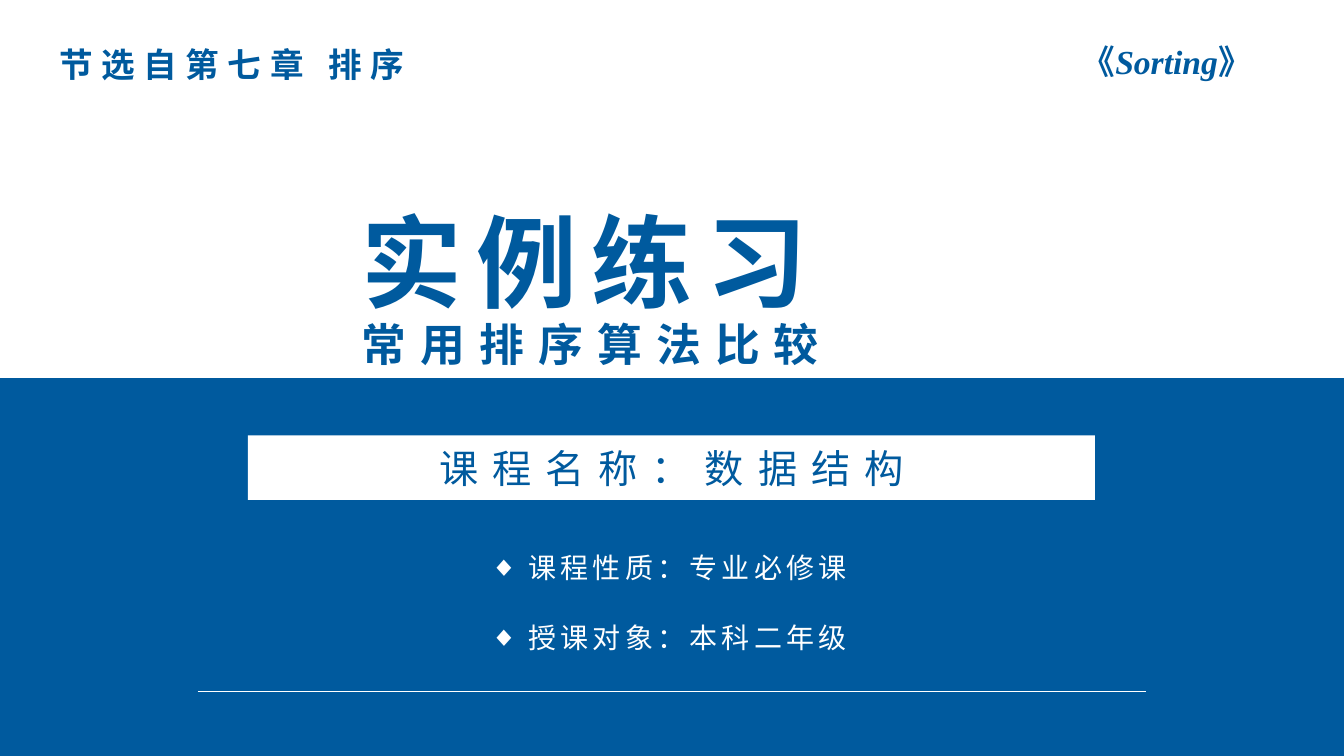
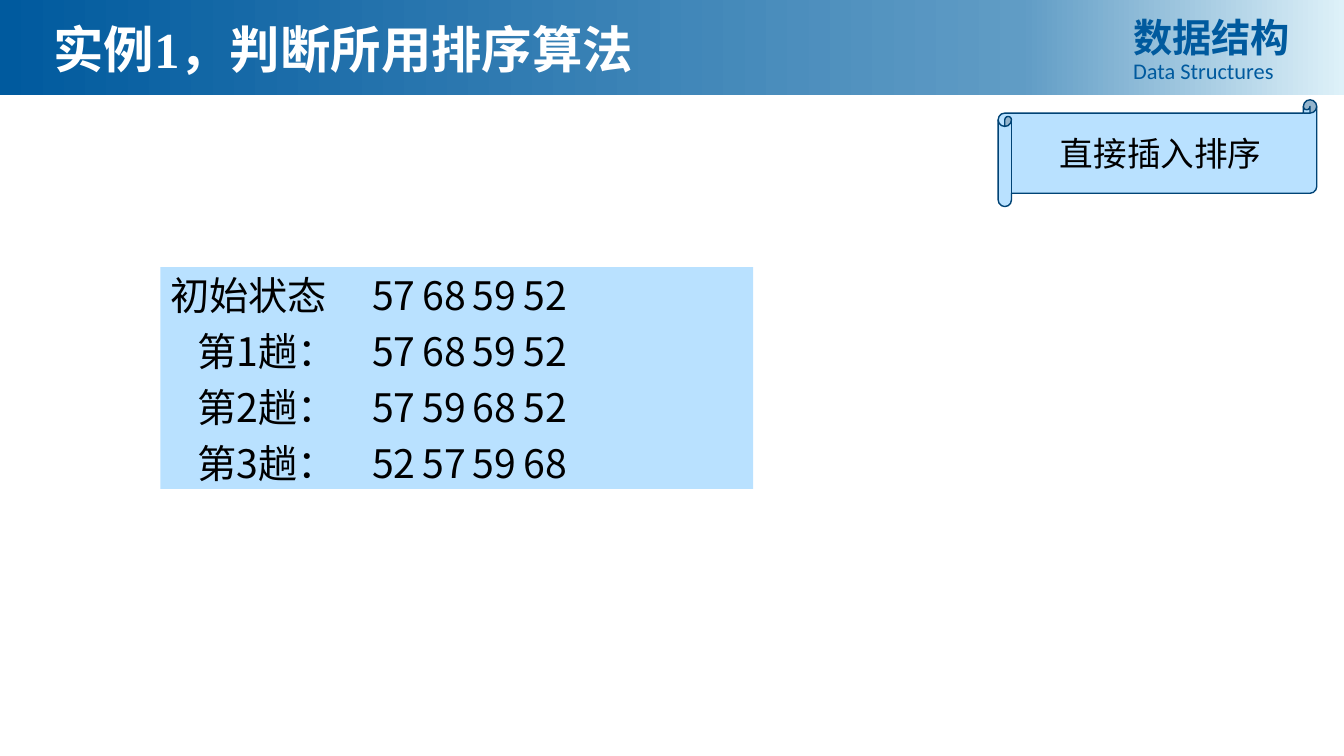
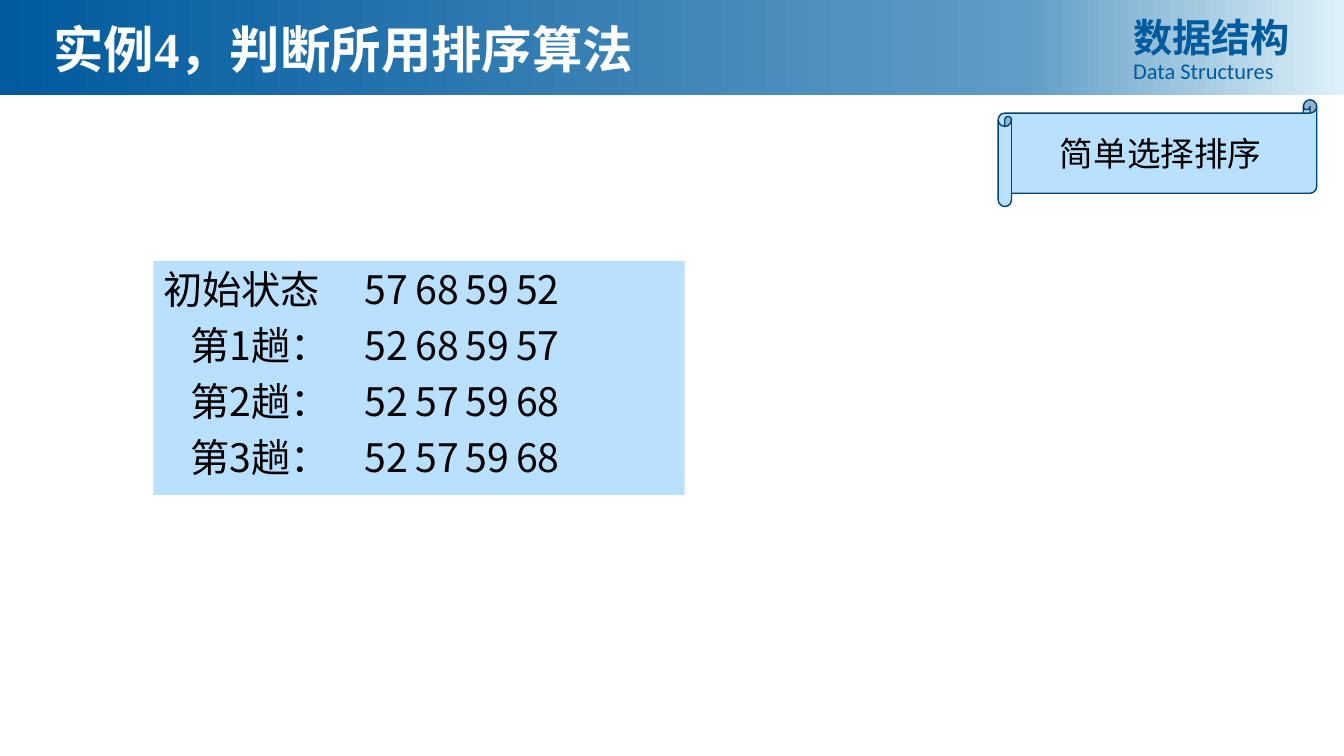
from copy import deepcopy
from dataclasses import dataclass, replace

from pptx import Presentation
from pptx import util as u
from pptx.dml.color import RGBColor
from pptx.enum import shapes, text
from pptx.oxml import ns
from pptx.oxml.xmlchemy import OxmlElement

SANS, SERIF, LATIN = "Noto Sans CJK SC", "Times New Roman", "Calibri"
LEFT, CENTER = text.PP_ALIGN.LEFT, text.PP_ALIGN.CENTER
TOP, MIDDLE = text.MSO_ANCHOR.TOP, text.MSO_ANCHOR.MIDDLE
RECTANGLE = shapes.MSO_SHAPE.RECTANGLE


@dataclass(frozen=True)
class Style:
    """Type settings; tracking and line height are in points."""
    size: float
    color: str
    font: str = SANS
    bold: bool = False
    italic: bool = False
    tracking: float = 0
    line: float = 0


class Theme:
    blue, white, black = "005A9E", "FFFFFF", "000000"
    pale, outline = "B9E1FF", "004375"
    header_gradient = ((0, blue), (0.76, "609CC5"), (1, "DEF1F9"))
    cover_title = Style(72, blue, bold=True, tracking=10, line=92)
    cover_subtitle = replace(cover_title, size=32, line=36)
    chapter = Style(24, blue, SERIF, bold=True, tracking=6)
    english = replace(chapter, tracking=0)
    course_name = Style(28, blue, tracking=10)
    facts = Style(20, white, tracking=3, line=26)
    slide_title = Style(36, white, SERIF, bold=True)
    label_chinese = Style(28, blue, bold=True, line=36)
    label_english = Style(16, blue, LATIN, line=17)
    passes = Style(28, black, line=30)
    answer = Style(24, black)


def rgb(color):
    return RGBColor.from_string(color)


def add_run(paragraph, words, style):
    run = paragraph.add_run()
    run.text = words
    values = dict(name=style.font, size=u.Pt(style.size), bold=style.bold, italic=style.italic)
    for name, value in values.items():
        setattr(run.font, name, value)
    run.font.color.rgb = rgb(style.color)
    properties = run.font._element
    east_asian = OxmlElement("a:ea")
    east_asian.set("typeface", SANS)
    properties.find(ns.qn("a:latin")).addnext(east_asian)
    if style.tracking:
        properties.set("spc", str(round(style.tracking * 100)))


def format_paragraph(paragraph, margin=0, indent=0, bullet=None, tabs=()):
    properties = paragraph._p.get_or_add_pPr()
    properties.set("marL", str(u.Inches(margin)))
    properties.set("indent", str(u.Inches(indent)))
    mark = OxmlElement("a:buChar" if bullet else "a:buNone")
    if bullet:
        mark.set("char", bullet)
    properties.append(mark)
    if tabs:
        tab_list = OxmlElement("a:tabLst")
        for position in tabs:
            tab = OxmlElement("a:tab")
            tab.set("pos", str(u.Inches(position)))
            tab.set("algn", "l")
            tab_list.append(tab)
        properties.append(tab_list)


def write(shape, paragraphs, align=LEFT, anchor=MIDDLE, gap=0, formats=None):
    """Fill a shape; each paragraph is a list of (words, style) runs."""
    frame = shape.text_frame
    for name, value in dict(word_wrap=True, auto_size=text.MSO_AUTO_SIZE.NONE,
                            vertical_anchor=anchor).items():
        setattr(frame, name, value)
    for index, runs in enumerate(paragraphs):
        paragraph = frame.add_paragraph() if index else frame.paragraphs[0]
        paragraph.alignment = align
        paragraph.space_before = u.Pt(gap if index else 0)
        if runs[0][1].line:
            paragraph.line_spacing = u.Pt(runs[0][1].line)
        format_paragraph(paragraph, **(formats[index] if formats else {}))
        for words, style in runs:
            add_run(paragraph, words, style)


def place(shape, box):
    for name, value in zip(("left", "top", "width", "height"), box):
        setattr(shape, name, u.Inches(value))
    return shape


def add_text(slide, box, paragraphs, **options):
    write(slide.shapes.add_textbox(*map(u.Inches, box)), paragraphs, **options)


def add_panel(slide, box, fill, kind=RECTANGLE, line=None):
    shape = slide.shapes.add_shape(kind, *map(u.Inches, box))
    shape.shadow.inherit = False
    shape.fill.solid()
    shape.fill.fore_color.rgb = rgb(fill)
    if line:
        shape.line.color.rgb = rgb(line)
        shape.line.width = u.Pt(1)
    else:
        shape.line.fill.background()
    return shape


def send_to_back(slide, shape):
    slide.shapes.element.insert(2, shape.element)


def add_rule(slide, left, right, top):
    rule = slide.shapes.add_connector(shapes.MSO_CONNECTOR.STRAIGHT,
                                      *map(u.Inches, (left, top, right, top)))
    rule.line.color.rgb = rgb(Theme.white)
    rule.line.width = u.Pt(1)
    rule.element.spPr.append(OxmlElement("a:effectLst"))


def add_header(slide, box, title):
    """Gradient band with the slide title and the course label."""
    left, top, width, height = box
    band = add_panel(slide, box, Theme.blue)
    band.fill.gradient()
    band.fill.gradient_angle = 0
    stop_list = band.element.find(".//" + ns.qn("a:gsLst"))
    stop_list.append(deepcopy(stop_list[0]))
    for stop, (position, color) in zip(band.fill.gradient_stops, Theme.header_gradient):
        stop.position = position
        stop.color.rgb = rgb(color)
    send_to_back(slide, band)
    write(place(slide.shapes.title, (left + 0.43, top + 0.12, 6.77, 0.71)),
          [[(title, Theme.slide_title)]])
    add_text(slide, (left + width - 2.19, top + 0.05, 1.91, height - 0.1),
             [[("数据结构", Theme.label_chinese)], [("Data Structures", Theme.label_english)]],
             anchor=TOP)


def fill_passes(body, box, rows):
    """List the start state and each pass, with the numbers on tab stops."""
    place(body, box)
    body.fill.solid()
    body.fill.fore_color.rgb = rgb(Theme.pale)
    paragraphs, formats = [], []
    for index, numbers in enumerate(rows):
        label = f"第{index}趟：" if index else "初始状态"
        shift = 0.1 if index else 0
        paragraphs.append([("\t".join([label, *map(str, numbers)]), Theme.passes)])
        formats.append(dict(indent=0.27 if index else 0,
                            tabs=[stop + shift for stop in (1.88, 2.49, 3.18, 3.88)]))
    write(body, paragraphs, anchor=TOP, gap=10, formats=formats)
    body.text_frame.margin_top = u.Inches(0.09)


def build_cover(presentation):
    slide = presentation.slides.add_slide(presentation.slide_layouts[1])
    send_to_back(slide, add_panel(slide, (0, 3.75, 13.33, 3.75), Theme.blue))
    write(place(slide.shapes.title, (3.49, 1.85, 6.56, 1.85)),
          [[("实例练习", Theme.cover_title)], [("常用排序算法比较", Theme.cover_subtitle)]],
          anchor=TOP)
    facts = ("课程性质：专业必修课", "授课对象：本科二年级")
    write(place(slide.placeholders[1], (4.76, 5.4, 4.32, 1.13)),
          [[(fact, Theme.facts)] for fact in facts], gap=24,
          formats=[dict(margin=0.38, indent=-0.38, bullet="◆")] * len(facts))
    write(add_panel(slide, (2.46, 4.32, 8.4, 0.64), Theme.white),
          [[("课程名称：数据结构", Theme.course_name)]], align=CENTER)
    add_rule(slide, 1.96, 11.37, 6.86)
    add_text(slide, (-0.98, 0.39, 6.56, 0.5),
             [[("节选自第七章 排序", Theme.chapter)]], align=CENTER)
    add_text(slide, (10.63, 0.36, 2.24, 0.5),
             [[("《", Theme.english), ("Sorting", replace(Theme.english, italic=True)),
               ("》", Theme.english)]])


def build_example(presentation, number, box, rows, answer):
    slide = presentation.slides.add_slide(presentation.slide_layouts[1])
    add_header(slide, (0, 0, 13.33, 0.94), f"实例{number}，判断所用排序算法")
    fill_passes(slide.placeholders[1], box, rows)
    scroll = add_panel(slide, (9.9, 0.99, 3.16, 1.06), Theme.pale,
                       shapes.MSO_SHAPE.HORIZONTAL_SCROLL, Theme.outline)
    write(scroll, [[(answer, Theme.answer)]], align=CENTER)


def main():
    presentation = Presentation()
    presentation.slide_width = u.Inches(13.33)
    presentation.slide_height = u.Inches(7.5)
    build_cover(presentation)
    start = (57, 68, 59, 52)
    build_example(presentation, 1, (1.59, 2.65, 5.88, 2.2),
                  (start, start, (57, 59, 68, 52), (52, 57, 59, 68)), "直接插入排序")
    build_example(presentation, 4, (1.52, 2.59, 5.27, 2.32),
                  (start, (52, 68, 59, 57), (52, 57, 59, 68), (52, 57, 59, 68)),
                  "简单选择排序")
    presentation.save("out.pptx")


if __name__ == "__main__":
    main()
